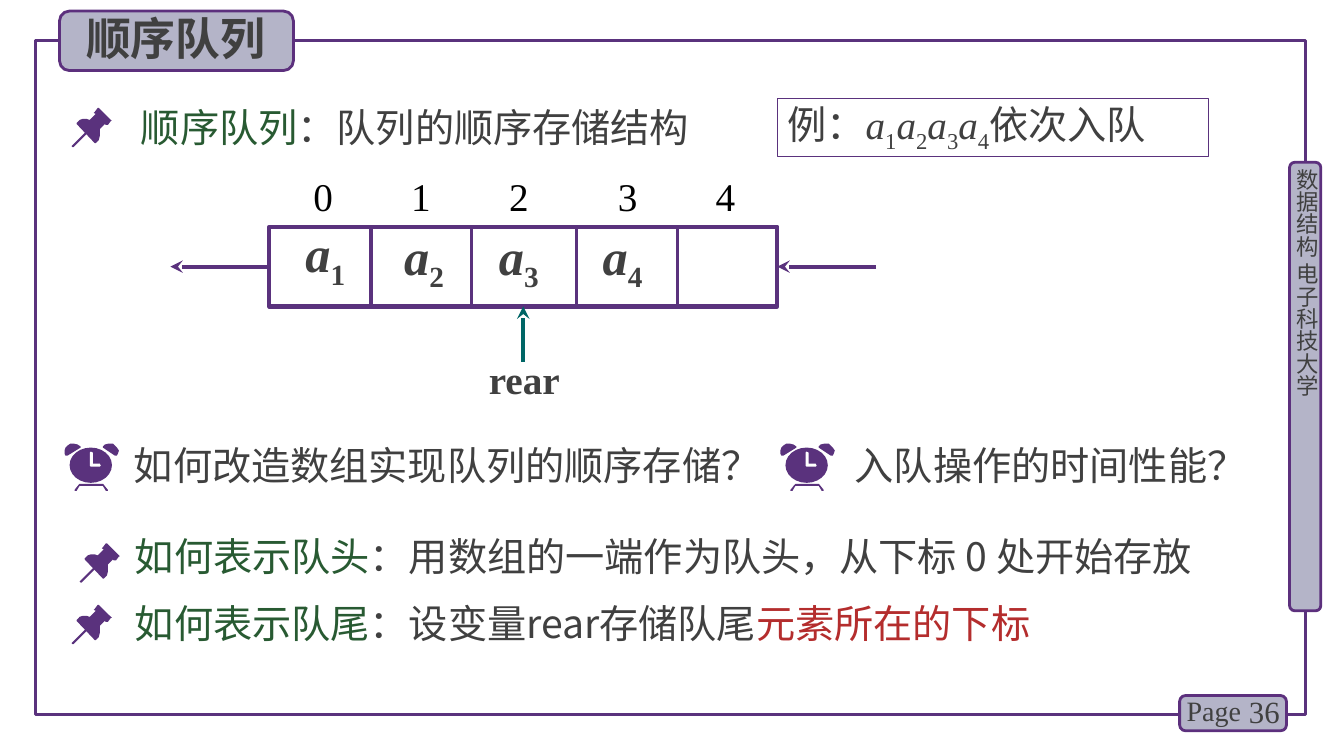
from lxml import etree
from pptx import Presentation
from pptx.dml.color import RGBColor
from pptx.enum.shapes import MSO_CONNECTOR, MSO_SHAPE
from pptx.enum.text import MSO_ANCHOR, PP_ALIGN
from pptx.oxml.ns import qn
from pptx.util import Inches, Pt

STRAIGHT = MSO_CONNECTOR.STRAIGHT
RECT, ROUND, OVAL = MSO_SHAPE.RECTANGLE, MSO_SHAPE.ROUNDED_RECTANGLE, MSO_SHAPE.OVAL
LEFT, CENTER, RIGHT = PP_ALIGN.LEFT, PP_ALIGN.CENTER, PP_ALIGN.RIGHT
MIDDLE = MSO_ANCHOR.MIDDLE
TOP_SIDE, LEFT_SIDE, BOTTOM_SIDE, RIGHT_SIDE = range(4)

COLORS = {"purple": "5A327D", "edge": "5C307D", "panel": "B4B4C8", "text": "404040",
          "green": "285A32", "red": "B42D2D", "teal": "006666",
          "black": "000000", "white": "FFFFFF"}
SANS, SERIF = "Noto Sans CJK SC", "Times New Roman"

# Square grid: columns and rows of a tenth of an inch
GRID = Inches(0.1)

# Icon outlines, in tenths of a grid cell
PIN_HEAD = [(39, 12), (27, 0), (26, 0), (23, 4), (22, 5), (24, 6), (18, 12), (15, 11),
            (11, 11), (8, 12), (5, 15), (5, 16), (23, 35), (24, 35), (27, 32), (28.5, 28),
            (28, 21), (33, 16), (34, 17), (36, 17), (39, 13), (40, 13)]
PIN_NEEDLE = [(2, 39), (1, 39), (0, 38), (1, 37), (14, 24), (15, 24), (16, 25), (15, 26)]
CLOCK_LEGS = [(43, 46), (39, 41), (38, 40), (15, 40), (14, 41), (10, 46), (10, 47),
              (12, 47), (15, 42), (38, 42), (41, 47), (43, 47)]
CLOCK_EAR = [(9, 0), (6, 0.5), (3, 2), (1, 4), (0, 7), (0.3, 10), (1, 12), (3, 12),
             (16, 4), (16, 3), (13, 1)]
CLOCK_HANDS = [(25, 9), (26, 8.5), (28, 9), (28, 20), (35, 20), (36, 21.5), (35, 23),
               (26, 23), (25, 22)]
CLOCK_WIDTH = 53.5


def cells(*values):
    return [round(v * GRID) for v in values]


def rgb(name):
    return RGBColor.from_string(COLORS[name])


def paint(sp, fill=None, line=None, width=2.0):
    sp.shadow.inherit = False
    if fill:
        sp.fill.solid()
        sp.fill.fore_color.rgb = rgb(fill)
    else:
        sp.fill.background()
    if line:
        sp.line.color.rgb = rgb(line)
        sp.line.width = Pt(width)
    else:
        sp.line.fill.background()
    return sp


def box(s, at, shape=RECT, **look):
    return paint(s.shapes.add_shape(shape, *cells(*at)), **look)


def write(sp, text, size=28, font=SANS, color="text", align=LEFT, bold=False, vert=None):
    """text is a string or a list of (string, changes), with changes of color, italic, sub."""
    tf = sp.text_frame
    tf.word_wrap = True
    tf.vertical_anchor = MIDDLE
    if vert:
        tf.margin_left = tf.margin_right = tf.margin_top = tf.margin_bottom = 0
        tf._txBody.find(qn("a:bodyPr")).set("vert", vert)
    p = tf.paragraphs[0]
    p.alignment = align
    for words, change in [(text, {})] if isinstance(text, str) else text:
        r = p.add_run()
        r.text = words
        r.font.size = Pt(size)
        r.font.bold = bold
        r.font.italic = change.get("italic", False)
        r.font.color.rgb = rgb(change.get("color", color))
        r.font.name = font
        rpr = r._r.get_or_add_rPr()
        etree.SubElement(rpr, qn("a:ea")).set("typeface", SANS)
        if change.get("sub"):
            rpr.set("baseline", "-25000")
    return p


def label(s, at, text, **form):
    return write(s.shapes.add_textbox(*cells(*at)), text, **form)


def line(s, start, end, color="purple", width=2.25, arrow=False):
    cx = s.shapes.add_connector(STRAIGHT, *cells(*start, *end))
    cx.line.color.rgb = rgb(color)
    cx.line.width = Pt(width)
    if arrow:
        etree.SubElement(cx.line._get_or_add_ln(), qn("a:tailEnd")).set("type", "stealth")
    etree.SubElement(cx._element.spPr, qn("a:effectLst"))
    return cx


def outline(s, points, col, row, fill="purple"):
    builder = s.shapes.build_freeform(*points[0], scale=GRID / 10)
    builder.add_line_segments(points[1:], close=True)
    paint(builder.convert_to_shape(*cells(col, row)), fill=fill)


def pin(s, col, row):
    outline(s, PIN_HEAD, col, row)
    outline(s, PIN_NEEDLE, col, row)


def clock(s, col, row):
    right_ear = [(CLOCK_WIDTH - x, y) for x, y in CLOCK_EAR]
    for points in (CLOCK_LEGS, CLOCK_EAR, right_ear):
        outline(s, points, col, row)
    box(s, (col + 0.5, row + 0.4, 4.2, 3.5), OVAL, fill="purple")
    outline(s, CLOCK_HANDS, col, row, "white")


def element(i):
    return [("a", {"italic": True}), (str(i), {"sub": True})]


def frame(s):
    box(s, (3.5, 4, 126, 66.9), line="purple", width=2.25)
    for at in ((127.9, 16.1, 3.1, 44.5), (117, 69, 10.6, 3.5), (5.9, 1.1, 23.2, 5.9)):
        box(s, at, ROUND, fill="panel", line="edge")
    label(s, (128.3, 16.7, 2.7, 43), "数据结构 电子科技大学", size=16, vert="eaVert")
    label(s, (116.7, 68.3, 7.8, 4.4), "Page", size=20, font=SERIF)
    label(s, (122, 68.6, 5.9, 4), "36", size=22, font=SERIF, align=RIGHT)
    label(s, (7.1, 0.5, 20.7, 6.4), "顺序队列", size=32, bold=True, align=CENTER)


def queue(s):
    left, top, width, height = 26.7, 22.5, 50.4, 7.9
    right, middle, center = left + width, top + height / 2, left + width / 2
    array = box(s, (left, top, width, height), line="purple", width=3)
    for col in (36.8, 46.8, 57.2, 67.2):
        line(s, (col, top), (col, top + height))

    # Subscripts above the cells, set on tab stops
    p = label(s, (30.1, 16.6, 46.5, 5.7), "0\t1\t2\t3\t4", font=SERIF, color="black")
    tabs = etree.SubElement(p._p.get_or_add_pPr(), qn("a:tabLst"))
    for stop in cells(9.7, 19.4, 30.2, 39.9):
        tab = etree.SubElement(tabs, qn("a:tab"))
        tab.set("pos", str(stop))
        tab.set("algn", "l")

    # Stored elements
    for i, (col, row) in enumerate([(29.3, 22), (39.1, 22.2), (48.5, 22.2), (58.8, 22.2)], 1):
        label(s, (col, row, 6.4, 7), element(i), size=36, font=SERIF, bold=True)

    # Arrows joined to the array
    enter = line(s, (right + 9.8, middle), (right, middle), width=3, arrow=True)
    enter.end_connect(array, RIGHT_SIDE)
    leave = line(s, (left, middle), (left - 9.8, middle), width=3, arrow=True)
    leave.begin_connect(array, LEFT_SIDE)
    rear = line(s, (center, 35.9), (center, top + height), "teal", 3, arrow=True)
    rear.end_connect(array, BOTTOM_SIDE)
    label(s, (47.5, 34.7, 11.3, 5.7), "rear", font=SERIF, bold=True)


def main():
    prs = Presentation()
    prs.slide_width, prs.slide_height = Inches(13.33), Inches(7.5)
    s = prs.slides.add_slide(prs.slide_layouts[6])
    green, red = {"color": "green"}, {"color": "red"}
    frame(s)

    # Definition and example
    pin(s, 7.1, 10.7)
    label(s, (13, 9.7, 59.2, 5.7), [("顺序队列", green), ("：队列的顺序存储结构", {})])
    example = box(s, (77.1, 9.8, 42.8, 5.7), line="purple", width=0.75)
    elements = [run for i in range(1, 5) for run in element(i)]
    write(example, [("例：", {}), *elements, ("依次入队", {})], font=SERIF)
    queue(s)

    # Questions
    for col, text_col, width, text in ((6.4, 12.3, 64.8, "如何改造数组实现队列的顺序存储？"),
                                       (77.4, 83.8, 41.5, "入队操作的时间性能？")):
        clock(s, col, 44)
        label(s, (text_col, 43.3, width, 5.7), text)

    # Answers
    pin(s, 7.9, 53.9)
    label(s, (12.4, 52.3, 113, 5.7),
          [("如何表示队头", green), ("：用数组的一端作为队头，从下标 0 处开始存放", {})])
    pin(s, 7.1, 60)
    label(s, (12.4, 58.9, 101.6, 5.7),
          [("如何表示队尾", green), ("：设变量rear存储队尾", {}), ("元素所在的下标", red)])
    prs.save("out.pptx")


if __name__ == "__main__":
    main()
